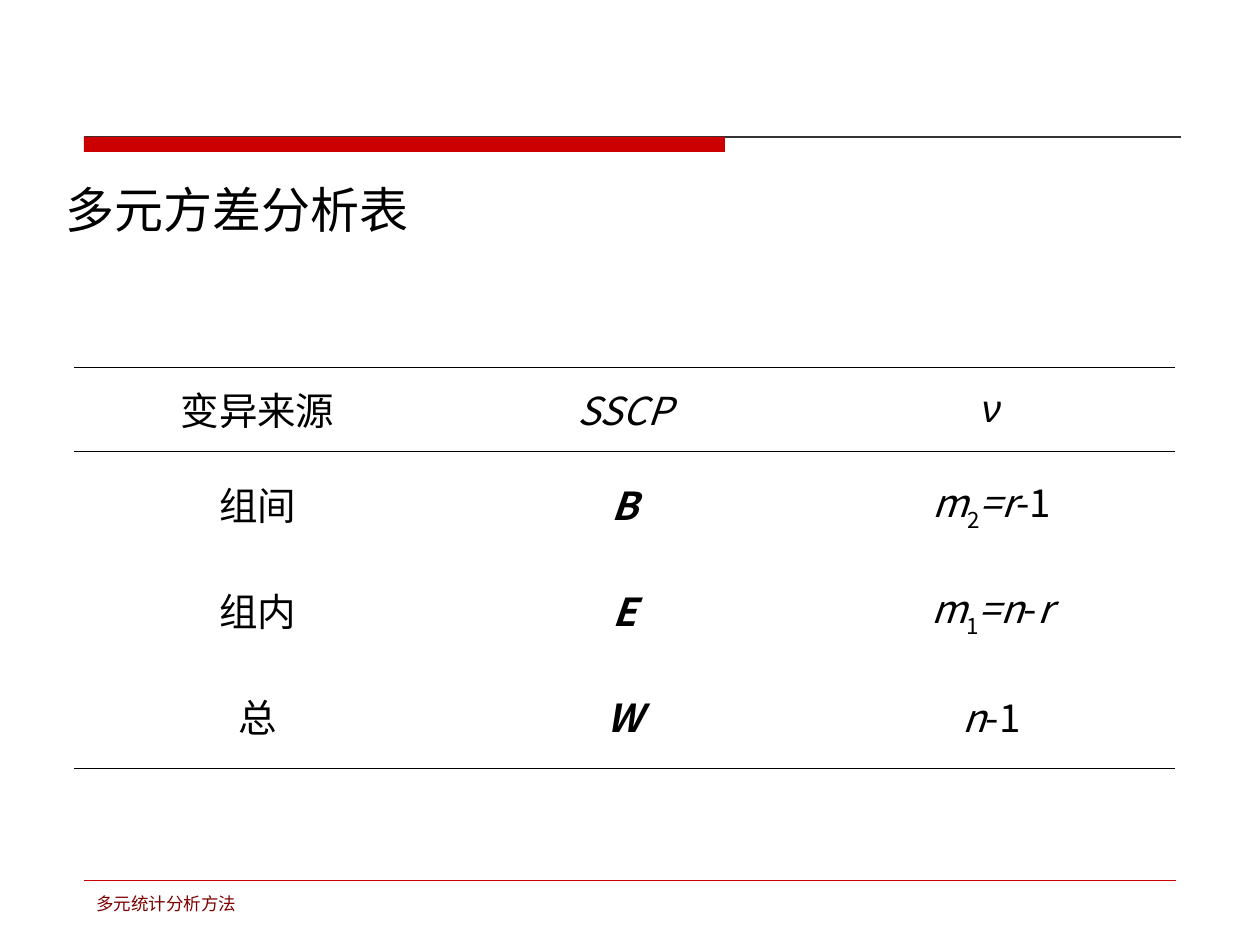
from lxml import etree
from pptx import Presentation
from pptx.dml.color import RGBColor
from pptx.enum.shapes import MSO_CONNECTOR, MSO_SHAPE
from pptx.enum.text import MSO_ANCHOR, PP_ALIGN
from pptx.oxml.ns import qn
from pptx.util import Pt

LINE = MSO_CONNECTOR.STRAIGHT
RECT = MSO_SHAPE.RECTANGLE
MID, LOW, TOP = MSO_ANCHOR.MIDDLE, MSO_ANCHOR.BOTTOM, MSO_ANCHOR.TOP
LEFT, CENTER = PP_ALIGN.LEFT, PP_ALIGN.CENTER

PX = 914400 // 126
CJK = "Noto Sans CJK SC"
RED, DARK, BLACK, GREY = "CC0000", "7C0000", "000000", "333333"

TITLE = "多元方差分析表"
FOOT = "多元统计分析方法"
ROWS = [
    [[("变异来源", "")], [("SSCP", "i")], [("ν", "ia")]],
    [[("组间", "")], [("B", "bi")],
     [("m", "i"), ("2", "s"), ("=r", "i"), ("-1", "")]],
    [[("组内", "")], [("E", "bi")],
     [("m", "i"), ("1", "s"), ("=n", "i"), ("-", ""), ("r", "i")]],
    [[("总", "")], [("W", "bi")], [("n", "i"), ("-1", "")]],
]
HIGH = [84, 106, 106, 106]
WIDE = 367
RULES = {0: ("lnT", "lnB"), 1: ("lnT",), 3: ("lnB",)}


def px(*vals):
    return [v * PX for v in vals]


def color(code):
    return RGBColor.from_string(code)


def style(font, name, size, code):
    font.name, font.size = name, Pt(size)
    font.color.rgb = color(code)


def east(run):
    props = run.font._element if hasattr(run.font, "_element") else run._r.get_or_add_rPr()
    node = etree.Element(qn("a:ea"), typeface=CJK)
    latin = props.find(qn("a:latin"))
    if latin is not None:
        latin.addnext(node)
    else:
        props.append(node)


def write(frame, text, name, size, code, anchor):
    frame.word_wrap = True
    frame.vertical_anchor = anchor
    para = frame.paragraphs[0]
    para.alignment = LEFT
    run = para.add_run()
    run.text = text
    style(run.font, name, size, code)
    east(run)


def rule(shapes, ends, code, width):
    line = shapes.add_connector(LINE, *px(*ends))
    line.line.color.rgb = color(code)
    line.line.width = Pt(width)
    etree.SubElement(line._element.spPr, qn("a:effectLst"))


def border(cell, drawn):
    props = cell._tc.get_or_add_tcPr()
    for pos, side in enumerate(("lnL", "lnR", "lnT", "lnB")):
        edge = etree.Element(qn("a:" + side), w=str(Pt(0.45)))
        if side in drawn:
            fill = etree.SubElement(edge, qn("a:solidFill"))
            etree.SubElement(fill, qn("a:srgbClr"), val=BLACK)
        else:
            etree.SubElement(edge, qn("a:noFill"))
        props.insert(pos, edge)


def fill_cell(cell, parts, drawn):
    cell.fill.background()
    cell.vertical_anchor = MID
    border(cell, drawn)
    para = cell.text_frame.paragraphs[0]
    para.alignment = CENTER
    for text, marks in parts:
        run = para.add_run()
        run.text = text
        style(run.font, "Arial" if "a" in marks else CJK, 22, BLACK)
        run.font.bold = "b" in marks
        run.font.italic = "i" in marks
        if "s" in marks:
            run._r.get_or_add_rPr().set("baseline", "-30000")
        east(run)


def main():
    deck = Presentation()
    deck.slide_width, deck.slide_height = px(1260, 945)
    slide = deck.slides.add_slide(deck.slide_layouts[5])
    shapes = slide.shapes

    rule(shapes, (84, 137, 1181, 137), GREY, 0.75)
    bar = shapes.add_shape(RECT, *px(84, 137, 641, 15))
    bar.shadow.inherit = False
    bar.fill.solid()
    bar.fill.fore_color.rgb = color(RED)
    bar.line.fill.background()
    rule(shapes, (84, 880, 1176, 880), RED, 0.25)

    foot = shapes.add_textbox(*px(84, 887, 397, 39))
    write(foot.text_frame, FOOT, "DejaVu Sans", 10, DARK, TOP)

    title = shapes.title
    title.left, title.top, title.width, title.height = px(53, 157, 1103, 88)
    write(title.text_frame, TITLE, "Times New Roman", 28, BLACK, LOW)

    frame = shapes.add_table(4, 3, *px(74, 367, 3 * WIDE, sum(HIGH)))
    table = frame.table
    table.first_row = table.horz_banding = False
    for col in table.columns:
        col.width = WIDE * PX
    for r, (row, high) in enumerate(zip(ROWS, HIGH)):
        table.rows[r].height = high * PX
        for c, parts in enumerate(row):
            fill_cell(table.cell(r, c), parts, RULES.get(r, ()))

    deck.save("out.pptx")


if __name__ == "__main__":
    main()
